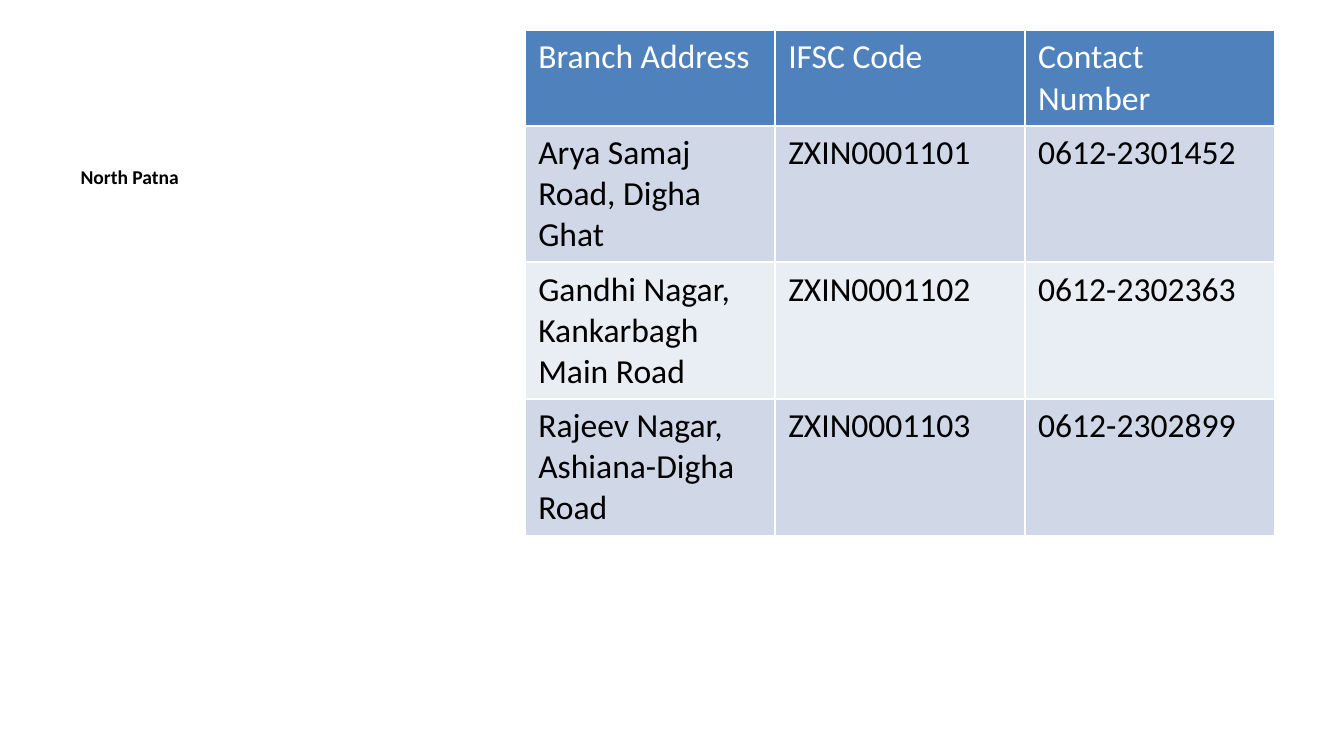
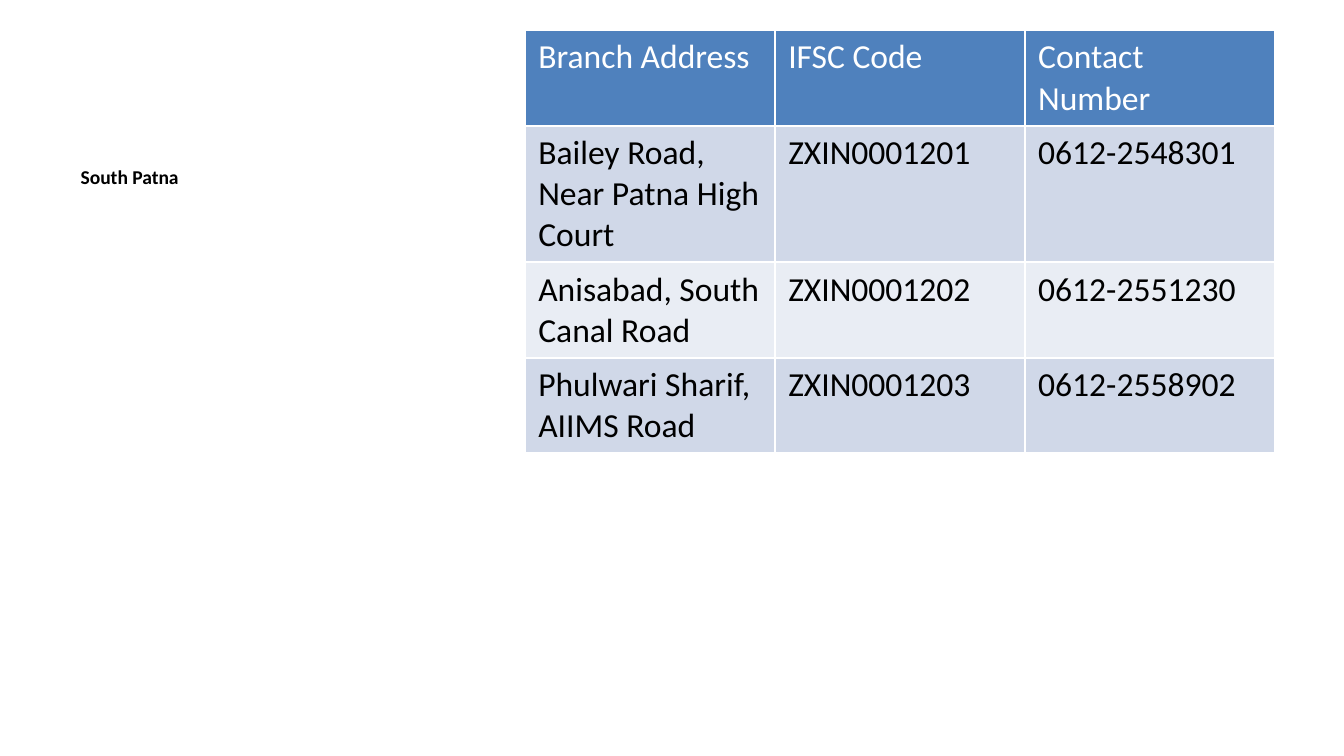
from pptx import Presentation
from pptx import util as u
from pptx.dml.color import RGBColor
from pptx.enum import text

EMU_PER_PX = 4572  # 200 px to the inch
FONT = "Calibri"
BLACK, WHITE, BLUE = "000000", "FFFFFF", "4F81BD"
BANDS = ["E9EDF4", "D0D8E8"]
HEADINGS = ["Branch Address", "IFSC Code", "Contact Number"]

REGIONS = {
    "North Patna": [
        ["Arya Samaj Road, Digha Ghat", "ZXIN0001101", "0612-2301452"],
        ["Gandhi Nagar, Kankarbagh Main Road", "ZXIN0001102", "0612-2302363"],
        ["Rajeev Nagar, Ashiana-Digha Road", "ZXIN0001103", "0612-2302899"],
    ],
    "South Patna": [
        ["Bailey Road, Near Patna High Court", "ZXIN0001201", "0612-2548301"],
        ["Anisabad, South Canal Road", "ZXIN0001202", "0612-2551230"],
        ["Phulwari Sharif, AIIMS Road", "ZXIN0001203", "0612-2558902"],
    ],
}


def px(length):
    return u.Emu(length * EMU_PER_PX)


def style(paragraph, size, color, bold=False):
    font = paragraph.font
    font.name, font.size, font.bold = FONT, u.Pt(size), bold
    font.color.rgb = RGBColor.from_string(color)


presentation = Presentation()
presentation.slide_width, presentation.slide_height = px(2000), px(1125)
layout = presentation.slide_layouts.get_by_name("Content with Caption")

for region, branches in REGIONS.items():
    slide = presentation.slides.add_slide(layout)

    # Region name in the text placeholder; the unused ones go
    for placeholder in list(slide.placeholders):
        if placeholder.placeholder_format.idx != 2:
            placeholder.element.getparent().remove(placeholder.element)
    body = slide.placeholders[2]
    body.left, body.top, body.width, body.height = px(100), px(236), px(658), px(770)
    body.text_frame.auto_size = text.MSO_AUTO_SIZE.NONE
    body.text_frame.text = region
    paragraph = body.text_frame.paragraphs[0]
    paragraph.space_before = u.Pt(0)
    style(paragraph, 10.5, BLACK, bold=True)

    # Branch table; white rules come from the default table style
    rows = [HEADINGS] + branches
    frame = slide.shapes.add_table(len(rows), len(HEADINGS), px(781), px(45), px(1116), px(958))
    table = frame.table
    for r, values in enumerate(rows):
        table.rows[r].height = 0  # rows grow to fit their text
        for c, value in enumerate(values):
            cell = table.cell(r, c)
            cell.text = value
            cell.fill.solid()
            cell.fill.fore_color.rgb = RGBColor.from_string(BANDS[r % 2] if r else BLUE)
            style(cell.text_frame.paragraphs[0], 18, BLACK if r else WHITE)
    frame.height = px(958)

presentation.save("out.pptx")
